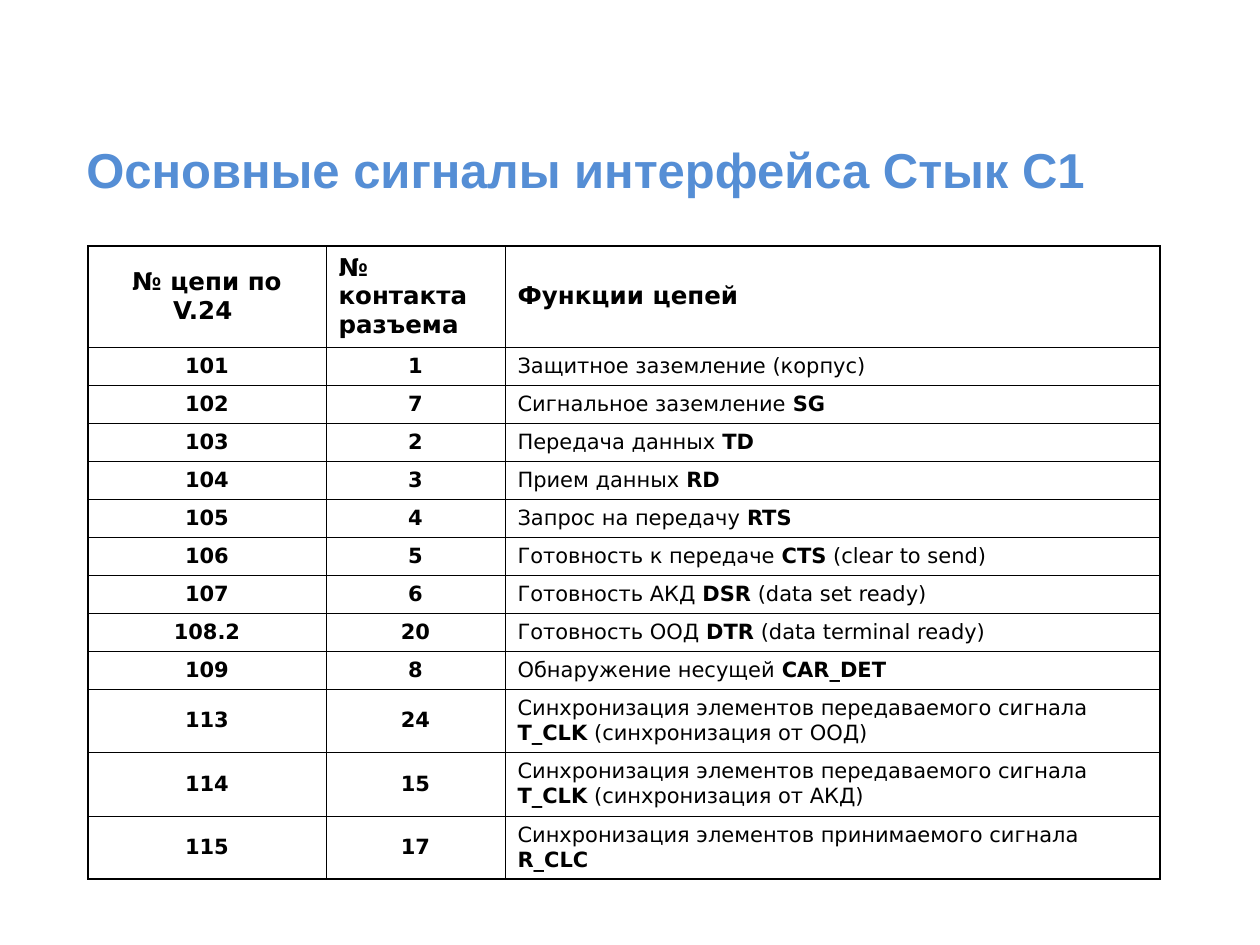
import pptx
import pptx.dml.color
import pptx.enum.text
import pptx.oxml.ns
import pptx.util
from lxml import etree

PX = 914400 / 126
BLACK = "000000"
TITLE_BLUE = "558ED5"
THIN, THICK = 0.45, 1.08
COLUMN_WIDTHS = [238, 179, 655]
ROW_HEIGHTS = [101] + [38] * 9 + [63, 64, 63]
HEADER = ["№ цепи по V.24 ", "№ контакта разъема", "Функции цепей"]

# Asterisks enclose the bold signal names.
SIGNALS = [
    ("101", "1", "Защитное заземление (корпус)"),
    ("102", "7", "Сигнальное заземление *SG*"),
    ("103", "2", "Передача данных *TD*"),
    ("104", "3", "Прием данных *RD*"),
    ("105", "4", "Запрос на передачу *RTS*"),
    ("106", "5", "Готовность к передаче *CTS* (clear to send)"),
    ("107", "6", "Готовность АКД *DSR* (data set ready)"),
    ("108.2", "20", "Готовность ООД *DTR* (data terminal ready)"),
    ("109", "8", "Обнаружение несущей *CAR_DET*"),
    ("113", "24", "Синхронизация элементов передаваемого сигнала *T_CLK* (синхронизация от ООД)"),
    ("114", "15", "Синхронизация элементов передаваемого сигнала *T_CLK* (синхронизация от АКД)"),
    ("115", "17", "Синхронизация элементов принимаемого сигнала *R_CLC*"),
]


def px(length):
    return pptx.util.Emu(round(length * PX))


def color(hex_value):
    return pptx.dml.color.RGBColor.from_string(hex_value)


def format_run(run, name, size, hex_value, bold):
    run.font.name = name
    run.font.size = pptx.util.Pt(size)
    run.font.color.rgb = color(hex_value)
    run.font.bold = bold


def set_borders(cell, widths):
    """Draw black borders; widths maps the sides L, R, T, B to points."""
    properties = cell._tc.get_or_add_tcPr()
    for side, width in widths.items():
        line = etree.SubElement(properties, pptx.oxml.ns.qn(f"a:ln{side}"),
                                w=str(pptx.util.Pt(width)))
        fill = etree.SubElement(line, pptx.oxml.ns.qn("a:solidFill"))
        etree.SubElement(fill, pptx.oxml.ns.qn("a:srgbClr"), val=BLACK)


def fill_cell(cell, text, size, bold, centered):
    """Write text whose asterisks switch bold on and off."""
    cell.vertical_anchor = pptx.enum.text.MSO_ANCHOR.MIDDLE
    cell.fill.background()
    paragraph = cell.text_frame.paragraphs[0]
    alignment = pptx.enum.text.PP_ALIGN
    paragraph.alignment = alignment.CENTER if centered else alignment.LEFT
    for index, part in enumerate(text.split("*")):
        if part:
            run = paragraph.add_run()
            run.text = part
            format_run(run, "DejaVu Sans", size, BLACK, bold or index % 2 == 1)


def add_title(slide, left, top, width, height):
    shape = slide.shapes.add_textbox(px(left), px(top), px(width), px(height))
    text_frame = shape.text_frame
    text_frame.word_wrap = True
    text_frame.margin_top = px(43)
    text_frame.text = "Основные сигналы интерфейса Стык С1"
    format_run(text_frame.paragraphs[0].runs[0], "Arial", 28, TITLE_BLUE, True)


def add_signal_table(slide, left, top):
    rows = [HEADER] + SIGNALS
    last_row, last_column = len(rows) - 1, len(HEADER) - 1
    table = slide.shapes.add_table(
        len(rows), len(HEADER), px(left), px(top),
        px(sum(COLUMN_WIDTHS)), px(sum(ROW_HEIGHTS))).table
    table.first_row = False
    table.horz_banding = False
    for column, width in zip(table.columns, COLUMN_WIDTHS):
        column.width = px(width)
    for row, height in zip(table.rows, ROW_HEIGHTS):
        row.height = px(height)
    for r, texts in enumerate(rows):
        for c, text in enumerate(texts):
            cell = table.cell(r, c)
            set_borders(cell, {
                "L": THICK if c == 0 else THIN,
                "R": THICK if c == last_column else THIN,
                "T": THICK if r == 0 else THIN,
                "B": THICK if r == last_row else THIN,
            })
            is_header = r == 0
            fill_cell(cell, text, 14 if is_header else 12,
                      bold=is_header or c < last_column,
                      centered=c == 0 or (c == 1 and not is_header))


def main():
    presentation = pptx.Presentation()
    presentation.slide_width = px(1260)
    presentation.slide_height = px(945)
    slide = presentation.slides.add_slide(presentation.slide_layouts[6])
    add_title(slide, 74, 96, 1104, 169)
    add_signal_table(slide, 88, 246)
    presentation.save("out.pptx")


if __name__ == "__main__":
    main()
